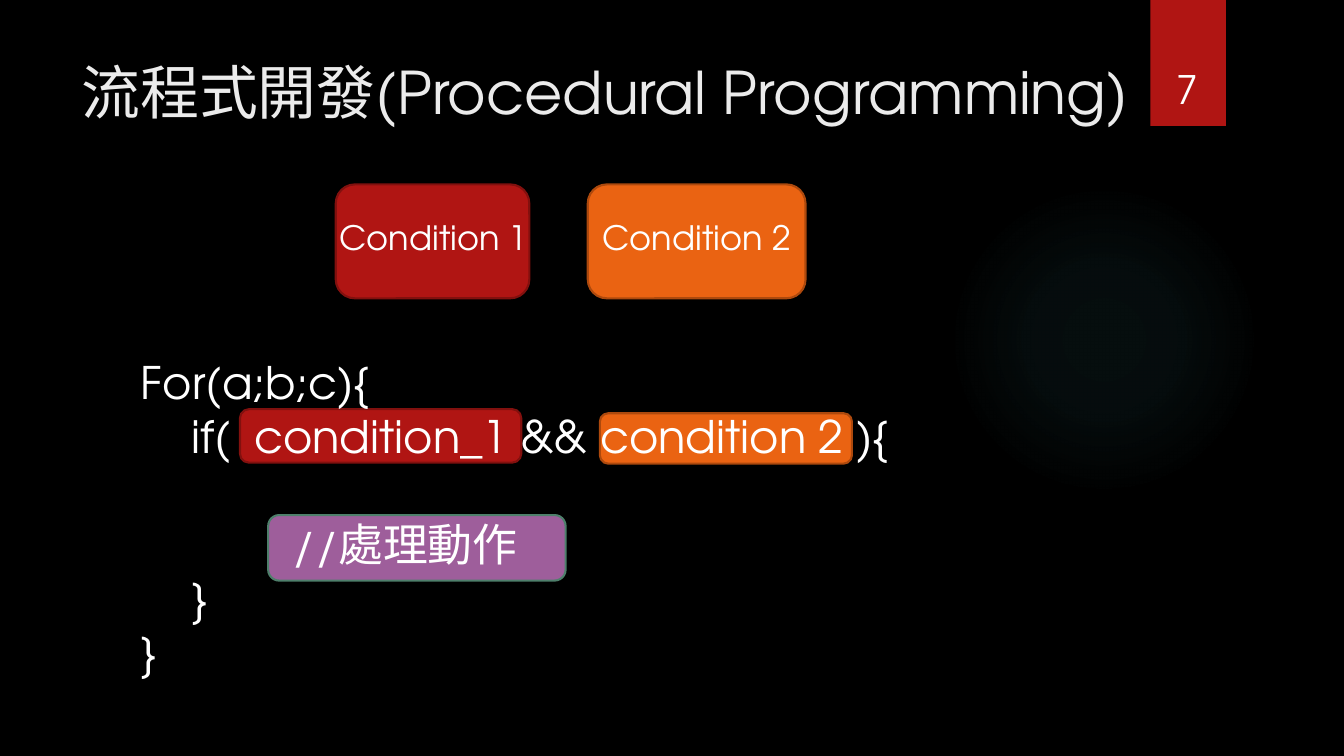
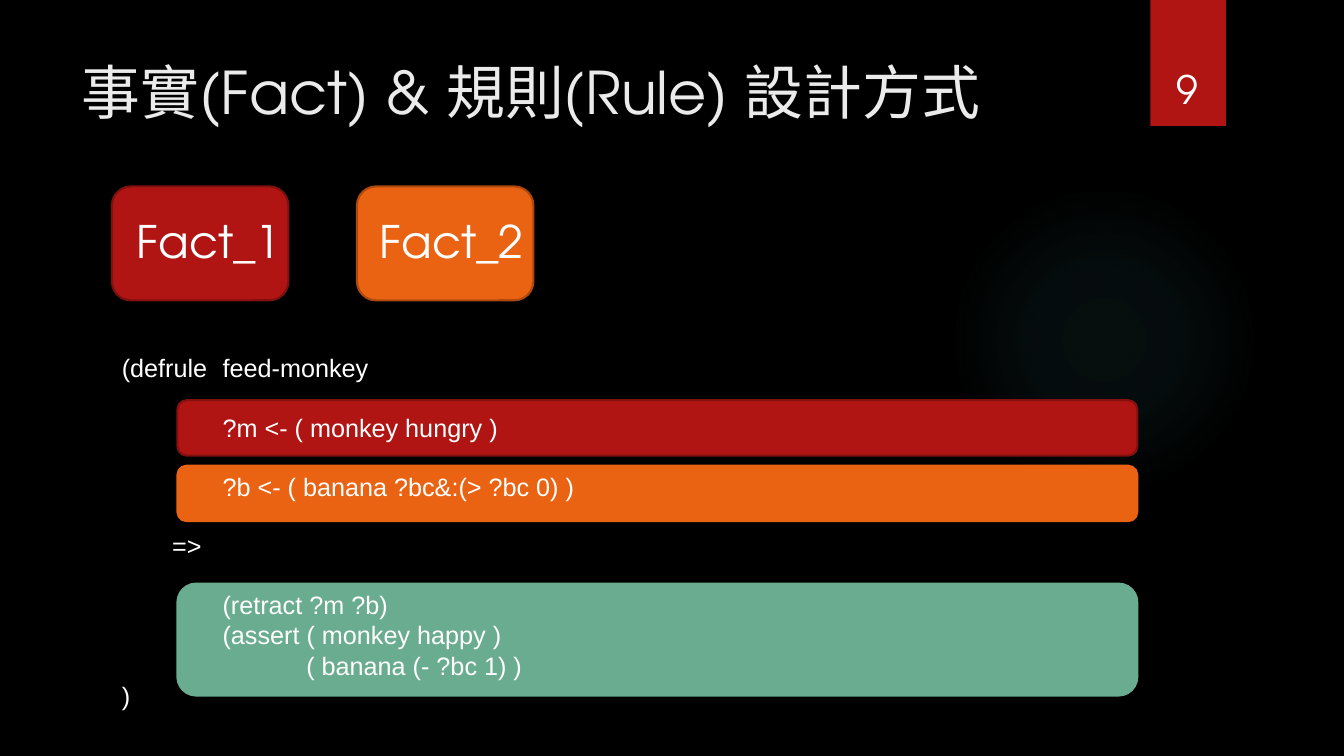
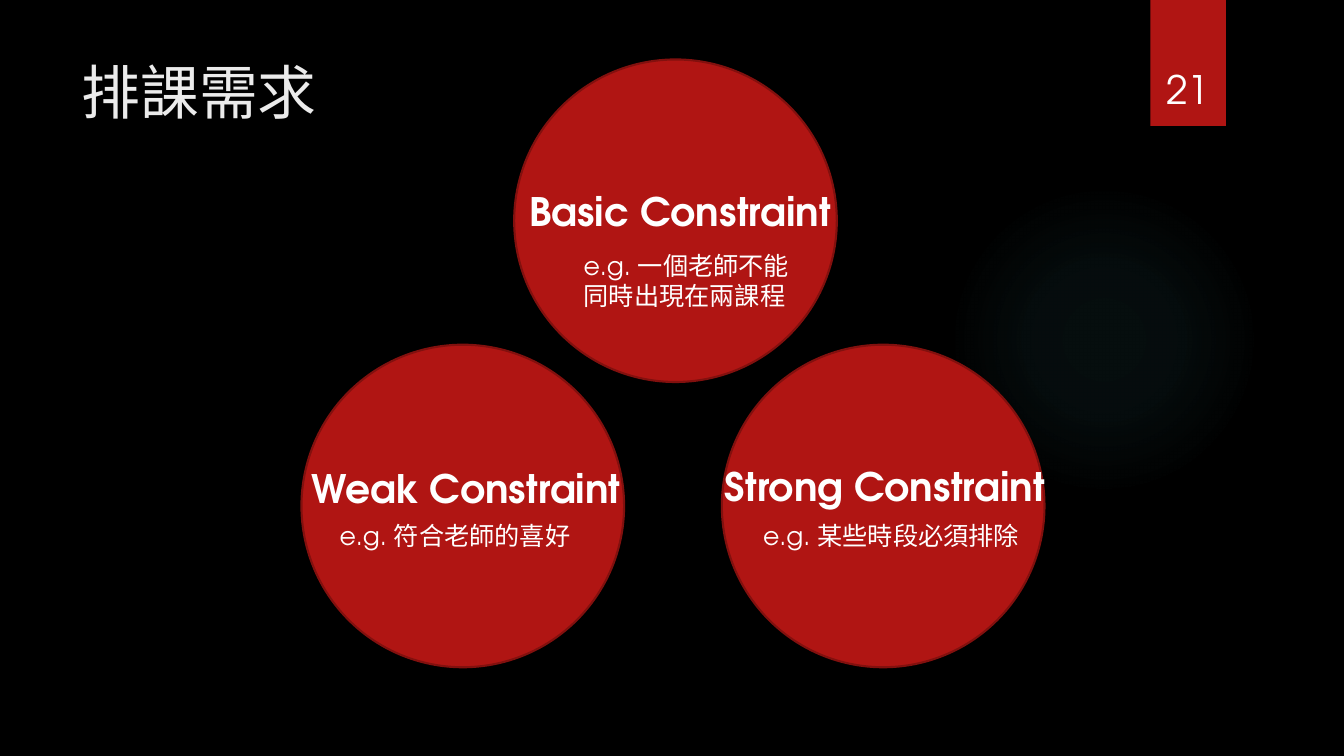
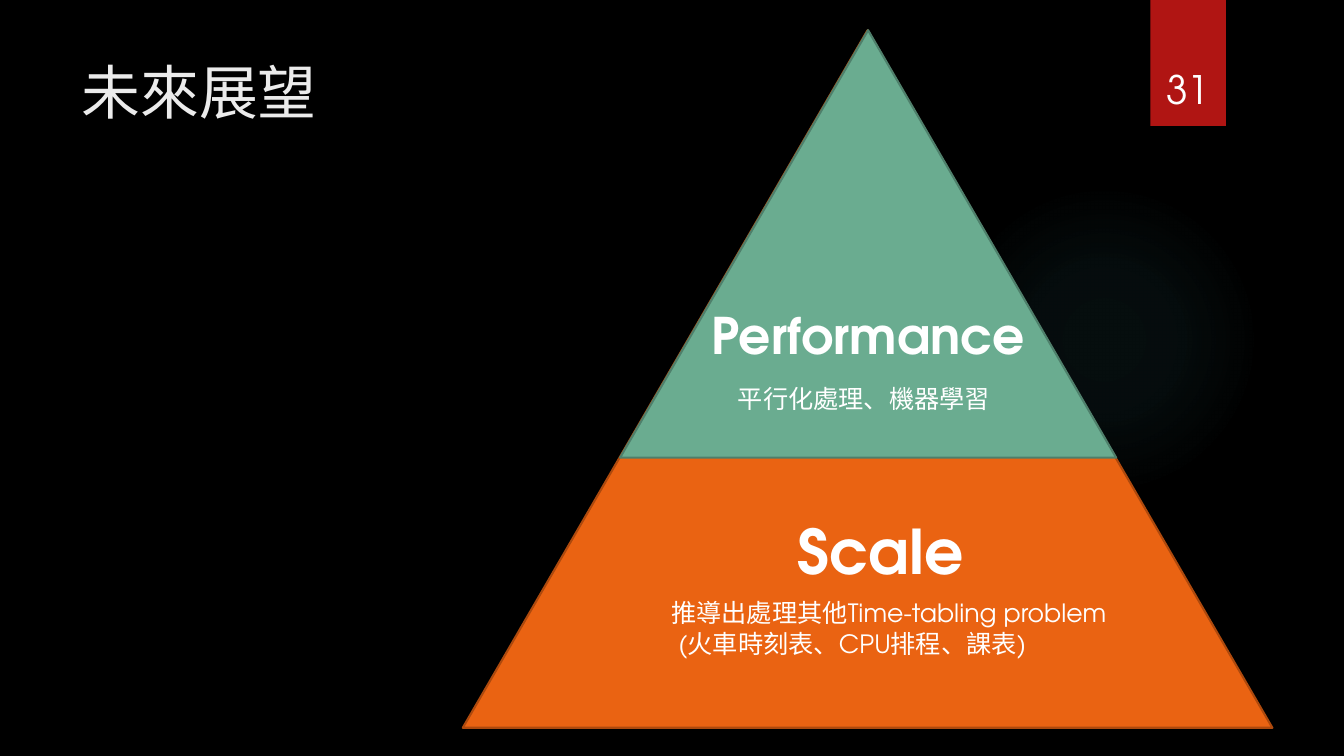
from lxml.etree import SubElement
from pptx import Presentation
from pptx.dml.color import RGBColor
from pptx.enum.shapes import MSO_SHAPE
from pptx.enum.text import MSO_ANCHOR, PP_ALIGN
from pptx.oxml.ns import qn
from pptx.util import Inches, Pt

COLORS = {
    "background": "000000",
    "title": "EBEBEB",
    "text": "FFFFFF",
    "red": "B01513",
    "dark red": "82100E",
    "orange": "EA6312",
    "dark orange": "AD490D",
    "purple": "9E5E9B",
    "green": "6AAC90",
    "dark green": "4E7F6B",
    "glow": "50B9C1",
}
GLOW_STOPS = [(0, 7), (36, 6), (69, 0)]
TAB = 0.5


def rgb(name):
    return RGBColor.from_string(COLORS[name])


class Deck:
    font = "TeX Gyre Adventor"

    def __init__(self):
        self.presentation = Presentation()
        self.presentation.slide_width = Inches(13.33)
        self.presentation.slide_height = Inches(7.5)
        self.slide = None

    def start(self, title, number, title_width=10.29):
        layout = self.presentation.slide_layouts[6]
        self.slide = self.presentation.slides.add_slide(layout)
        backdrop = self.slide.background.fill
        backdrop.solid()
        backdrop.fore_color.rgb = rgb("background")
        self.glow()
        self.shape(MSO_SHAPE.RECTANGLE, 11.41, 0, 0.75, 1.25, "red")
        self.text(0.71, 0.5, title_width, 1.53, [title], 42, color="title")
        self.text(11.32, 0.32, 0.92, 0.84, [number], 28,
                  align=PP_ALIGN.CENTER, anchor=MSO_ANCHOR.BOTTOM)

    def shape(self, preset, left, top, width, height, fill, line=None):
        shape = self.slide.shapes.add_shape(
            preset, Inches(left), Inches(top), Inches(width), Inches(height))
        shape.shadow.inherit = False
        shape.fill.solid()
        shape.fill.fore_color.rgb = rgb(fill)
        if line:
            shape.line.color.rgb = rgb(line)
            shape.line.width = Pt(1.5)
        else:
            shape.line.fill.background()
        return shape

    def glow(self):
        halo = self.shape(MSO_SHAPE.OVAL, 9.41, 1.83, 3.08, 3.08, "glow")
        properties = halo.element.spPr
        solid = properties.find(qn("a:solidFill"))
        gradient = SubElement(properties, qn("a:gradFill"), rotWithShape="1")
        properties.replace(solid, gradient)
        stops = SubElement(gradient, qn("a:gsLst"))
        for position, opacity in GLOW_STOPS:
            stop = SubElement(stops, qn("a:gs"), pos=str(position * 1000))
            color = SubElement(stop, qn("a:srgbClr"), val=COLORS["glow"])
            SubElement(color, qn("a:alpha"), val=str(opacity * 1000))
        circle = SubElement(gradient, qn("a:path"))
        circle.set("path", "circle")
        SubElement(circle, qn("a:fillToRect"),
                   dict.fromkeys("ltrb", "50000"))

    def box(self, left, top, width, height, fill, line):
        self.shape(MSO_SHAPE.ROUNDED_RECTANGLE, left, top, width, height, fill, line)

    def circle(self, left, top, diameter):
        self.shape(MSO_SHAPE.OVAL, left, top, diameter, diameter, "red", "dark red")

    def triangle(self, left, top, width, height, fill, line):
        self.shape(MSO_SHAPE.ISOSCELES_TRIANGLE, left, top, width, height, fill, line)

    def text(self, left, top, width, height, lines, size, font=None, color="text",
             bold=False, align=PP_ALIGN.LEFT, anchor=MSO_ANCHOR.TOP):
        frame = self.slide.shapes.add_textbox(
            Inches(left), Inches(top), Inches(width), Inches(height)).text_frame
        frame.word_wrap = True
        frame.vertical_anchor = anchor
        for index, line in enumerate(lines):
            paragraph = frame.paragraphs[0] if index == 0 else frame.add_paragraph()
            paragraph.alignment = align
            words, tabs, gap = line if isinstance(line, tuple) else (line, 0, 0)
            paragraph.space_before = Pt(gap)
            properties = paragraph._p.get_or_add_pPr()
            properties.set("marL", str(Inches(tabs * TAB)))
            properties.set("indent", "0")
            properties.set("defTabSz", str(Inches(TAB)))
            run = paragraph.add_run()
            run.text = words
            run.font.name = font or self.font
            run.font.size = Pt(size)
            run.font.bold = bold
            run.font.color.rgb = rgb(color)

    def save(self):
        self.presentation.save("out.pptx")


deck = Deck()

deck.start("流程式開發(Procedural Programming)", "7", title_width=11.02)
deck.box(2.38, 4.06, 2.79, 0.53, "red", "dark red")
deck.box(5.95, 4.1, 2.5, 0.5, "orange", "dark orange")
deck.box(2.66, 5.11, 2.95, 0.65, "purple", "dark green")
deck.box(3.33, 1.83, 1.92, 1.13, "red", "dark red")
deck.box(5.83, 1.83, 2.16, 1.13, "orange", "dark orange")
deck.text(3, 2.1, 2.6, 0.5, ["Condition 1"], 24, align=PP_ALIGN.CENTER)
deck.text(5.67, 2.1, 2.48, 0.5, ["Condition 2"], 24, align=PP_ALIGN.CENTER)
deck.text(1.3, 3.47, 11.1, 3.33, [
    "For(a;b;c){",
    ("if(\t condition_1 && condition 2 ){", 1, 0),
    ("//處理動作", 3, 39),
    ("}", 1, 0),
    "}",
], 32)

deck.start("事實(Fact) & 規則(Rule) 設計方式", "9")
for top, height, fill, line in [
    (3.97, 0.55, "red", "dark red"),
    (4.62, 0.55, "orange", "orange"),
    (5.79, 1.11, "green", "green"),
]:
    deck.box(1.76, top, 9.52, height, fill, line)
deck.box(1.11, 1.85, 1.75, 1.13, "red", "dark red")
deck.box(3.54, 1.85, 1.75, 1.13, "orange", "dark orange")
RULE_GAP = 20.7
deck.text(1.11, 3.45, 9.37, 3.74, [
    "(defrule\tfeed-monkey",
    ("?m <- ( monkey hungry )", 2, RULE_GAP),
    ("?b <- ( banana ?bc&:(> ?bc 0) )", 2, RULE_GAP),
    ("=>", 1, RULE_GAP),
    ("(retract ?m ?b)", 2, RULE_GAP),
    ("(assert ( monkey happy )", 2, 0),
    ("( banana (- ?bc 1) )", 3.66, 0),
    ")",
], 18, font="Arial")
deck.text(1.26, 2.07, 1.83, 0.64, ["Fact_1"], 32)
deck.text(3.67, 2.07, 1.83, 0.64, ["Fact_2"], 32)

deck.start("排課需求", "21")
for left, top in [(7.16, 3.42), (2.99, 3.42), (5.1, 0.59)]:
    deck.circle(left, top, 3.2)
for left, top, width, constraint in [
    (5.15, 1.81, 4.85, "Basic Constraint"),
    (7.09, 4.54, 3.84, "Strong Constraint"),
    (2.99, 4.56, 4.41, "Weak Constraint"),
]:
    deck.text(left, top, width, 0.57, [constraint], 28, bold=True)
deck.text(5.69, 2.43, 2.46, 0.71, ["e.g. 一個老師不能", "同時出現在兩課程"], 18)
deck.text(3.27, 5.11, 2.79, 0.4, ["e.g. 符合老師的喜好"], 18)
deck.text(7.47, 5.11, 2.89, 0.4, ["e.g. 某些時段必須排除"], 18)

deck.start("未來展望", "31")
deck.triangle(4.59, 0.3, 8.03, 6.92, "orange", "dark orange")
deck.triangle(6.15, 0.3, 4.92, 4.24, "green", "dark green")
deck.text(6.96, 2.97, 4.08, 0.71, ["Performance"], 36, bold=True)
deck.text(7.81, 5.04, 2.07, 0.84, ["Scale"], 44, bold=True)
deck.text(7.22, 3.75, 3.06, 0.4, ["平行化處理、機器學習"], 18)
deck.text(6.56, 5.88, 4.88, 0.71, [
    "推導出處理其他Time-tabling problem",
    " (火車時刻表、CPU排程、課表)",
], 18)

deck.save()
